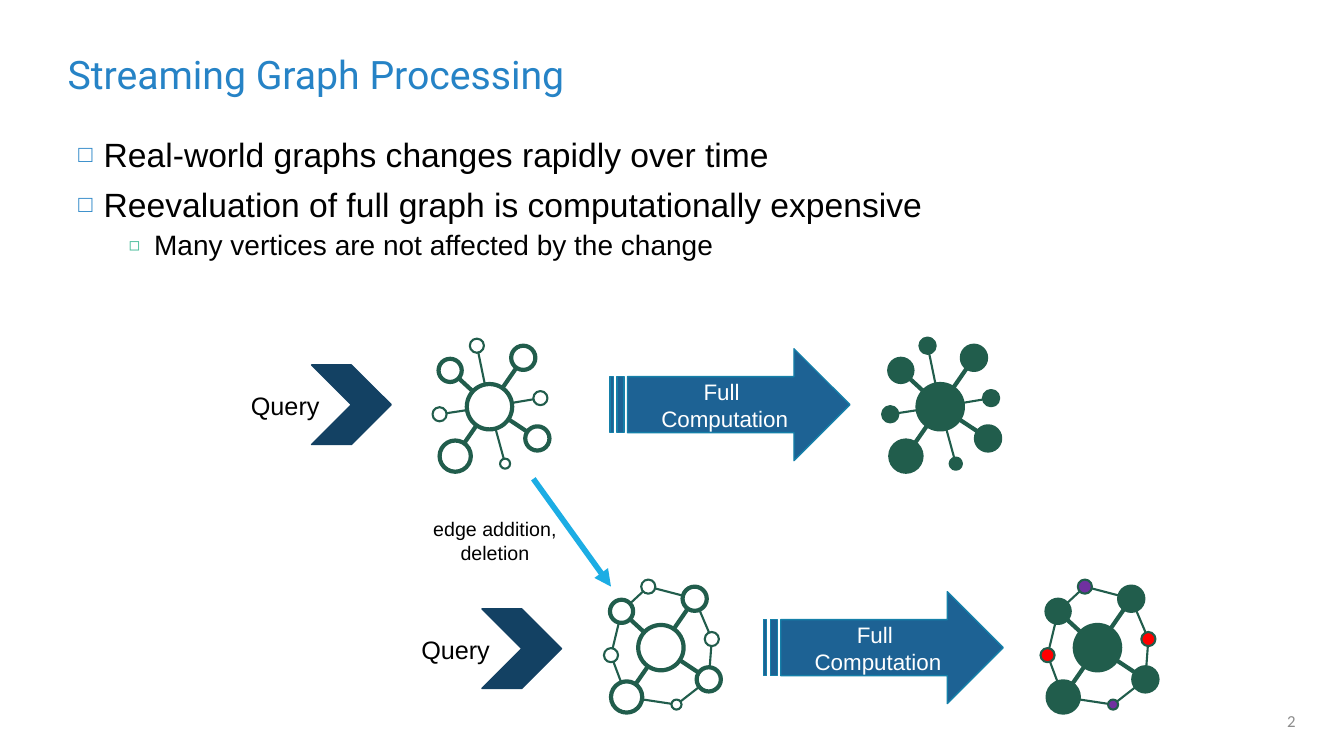
from lxml.etree import SubElement
from pptx import Presentation
from pptx.dml.color import RGBColor
from pptx.enum.shapes import MSO_CONNECTOR, MSO_SHAPE
from pptx.enum.text import MSO_ANCHOR, MSO_AUTO_SIZE, PP_ALIGN
from pptx.oxml.ns import qn
from pptx.util import Inches, Pt

COLORS = {
    "white": "FFFFFF", "black": "000000", "title": "2683C6", "sub_bullet": "42BA97",
    "graph": "215D4C", "added": "7030A0", "changed": "FF0000", "arrow": "1D6294",
    "arrow_edge": "1580A9", "query": "134163", "update": "1CADE4", "number": "8C8C8C",
}

# vertex: centre x, centre y, diameter
VERTICES = {
    "hub": (0.565, 0.675, 0.45),
    "lower right": (1.04, 0.99, 0.24),
    "top": (0.44, 0.07, 0.14),
    "upper left": (0.175, 0.315, 0.23),
    "upper right": (0.9, 0.19, 0.24),
    "lower left": (0.225, 1.165, 0.31),
    "left": (0.07, 0.75, 0.14),
    "right": (1.07, 0.59, 0.14),
    "bottom": (0.72, 1.24, 0.1),
}
STAR = [("hub", name) for name in VERTICES if name != "hub"]
RING = ["lower left", "left", "upper left", "top", "upper right",
        "right", "lower right", "bottom"]
WHEEL = list(zip(RING, RING[1:] + RING[:1])) + [
    ("hub", name) for name in ("upper left", "upper right", "lower left", "lower right")]


def color(name):
    return RGBColor.from_string(COLORS[name])


def is_large(vertex):
    return VERTICES[vertex][2] > 0.2


class SlideBuilder:
    def __init__(self, slide, font="Arial"):
        self.slide = slide
        self.font = font

    def style(self, paragraph, size, ink, font=None):
        paragraph.font.name = font or self.font
        paragraph.font.size = Pt(size)
        paragraph.font.color.rgb = color(ink)

    def set_lines(self, frame, lines, size, ink, align=PP_ALIGN.LEFT, font=None):
        for index, line in enumerate(lines):
            paragraph = frame.add_paragraph() if index else frame.paragraphs[0]
            paragraph.text = line
            paragraph.alignment = align
            self.style(paragraph, size, ink, font)

    def title(self, text, left, top, width, height):
        heading = self.slide.shapes.title
        heading.left, heading.top = Inches(left), Inches(top)
        heading.width, heading.height = Inches(width), Inches(height)
        frame = heading.text_frame
        frame.auto_size = MSO_AUTO_SIZE.NONE
        frame.vertical_anchor = MSO_ANCHOR.MIDDLE
        self.set_lines(frame, [text], 28, "title", font="Roboto")
        frame.paragraphs[0].line_spacing = 0.9

    def text(self, lines, left, top, width, height, size, ink="black",
             align=PP_ALIGN.LEFT, wrap=False, font=None, parent=None):
        box = (parent or self.slide).shapes.add_textbox(
            Inches(left), Inches(top), Inches(width), Inches(height))
        frame = box.text_frame
        frame.word_wrap = wrap
        frame.auto_size = MSO_AUTO_SIZE.NONE if wrap else MSO_AUTO_SIZE.SHAPE_TO_FIT_TEXT
        self.set_lines(frame, lines, size, ink, align, font)
        return frame

    def bullets(self, items, left, top, width, height):
        """Set (text, level) pairs as a list with square bullets."""
        frame = self.text([text for text, _ in items], left, top, width, height, 24, wrap=True)
        looks = [(24, 10, 0.25, "title", 70, "□"), (20, 5, 0.75, "sub_bullet", 65, "◻")]
        for paragraph, (_, level) in zip(frame.paragraphs, items):
            size, before, margin, ink, percent, mark = looks[level]
            paragraph.level = level
            paragraph.line_spacing = 0.9
            paragraph.space_before = Pt(before)
            self.style(paragraph, size, "black")
            properties = paragraph._p.get_or_add_pPr()
            properties.set("marL", str(Inches(margin)))
            properties.set("indent", str(Inches(-0.25)))
            bullet_color = SubElement(properties, qn("a:buClr"))
            SubElement(bullet_color, qn("a:srgbClr"), val=COLORS[ink])
            SubElement(properties, qn("a:buSzPct"), val=str(percent * 1000))
            SubElement(properties, qn("a:buFont"), typeface=self.font)
            SubElement(properties, qn("a:buChar"), char=mark)
            # the schema wants the default run properties after the bullet
            properties.append(properties.find(qn("a:defRPr")))

    def shape(self, kind, left, top, width, height, fill, edge, edge_width=1, parent=None):
        figure = (parent or self.slide).shapes.add_shape(
            kind, Inches(left), Inches(top), Inches(width), Inches(height))
        figure.shadow.inherit = False
        figure.fill.solid()
        figure.fill.fore_color.rgb = color(fill)
        figure.line.color.rgb = color(edge)
        figure.line.width = Pt(edge_width)
        return figure

    def line(self, start, end, ink, width, head=False, parent=None):
        connector = (parent or self.slide).shapes.add_connector(
            MSO_CONNECTOR.STRAIGHT, *(Inches(value) for value in (*start, *end)))
        connector.line.color.rgb = color(ink)
        connector.line.width = Pt(width)
        properties = connector._element.spPr
        if head:
            SubElement(properties.find(qn("a:ln")), qn("a:tailEnd"), type="triangle")
        SubElement(properties, qn("a:effectLst"))

    def graph(self, left, top, edges, fill, special=None, small_edge=1.5):
        """Draw edges, then vertices; special maps a vertex to its own fill."""
        group = self.slide.shapes.add_group_shape()
        for ends in edges:
            start, end = ((left + VERTICES[name][0], top + VERTICES[name][1]) for name in ends)
            width = 3 if all(map(is_large, ends)) else 1.5
            self.line(start, end, "graph", width, parent=group)
        for name, (x, y, size) in VERTICES.items():
            self.shape(MSO_SHAPE.OVAL, left + x - size / 2, top + y - size / 2, size, size,
                       (special or {}).get(name, fill), "graph",
                       3 if is_large(name) else small_edge, parent=group)

    def query(self, left, top):
        group = self.slide.shapes.add_group_shape()
        self.shape(MSO_SHAPE.CHEVRON, left + 0.7, top, 0.79, 0.79, "query", "query",
                   parent=group)
        self.text(["Query"], left, top + 0.2, 0.88, 0.4, 18, parent=group)

    def computation(self, left, top):
        arrow = self.shape(MSO_SHAPE.STRIPED_RIGHT_ARROW, left, top, 2.38, 1.11,
                           "arrow", "arrow_edge")
        arrow.text_frame.vertical_anchor = MSO_ANCHOR.MIDDLE
        self.set_lines(arrow.text_frame, ["Full ", "Computation"], 16, "white",
                       PP_ALIGN.CENTER)


def main():
    deck = Presentation()
    deck.slide_width, deck.slide_height = Inches(13.33), Inches(7.5)
    builder = SlideBuilder(deck.slides.add_slide(deck.slide_layouts[5]))

    builder.title("Streaming Graph Processing", 0.57, 0.44, 12.14, 0.64)
    builder.bullets([
        ("Real-world graphs changes rapidly over time", 0),
        ("Reevaluation of full graph is computationally expensive", 0),
        ("Many vertices are not affected by the change", 1),
    ], 0.68, 1.32, 11.59, 2.3)

    builder.graph(4.29, 3.36, STAR, "white")
    builder.graph(8.76, 3.36, STAR, "graph", small_edge=3)
    builder.graph(5.99, 5.75, WHEEL, "white")
    builder.graph(10.32, 5.75, WHEEL, "graph", special={
        "top": "added", "bottom": "added", "left": "changed", "right": "changed"})

    for query_at, computation_at in [((2.39, 3.62), (6.05, 3.46)),
                                     ((4.08, 6.04), (7.57, 5.87))]:
        builder.computation(*computation_at)
        builder.query(*query_at)

    builder.line((5.29, 4.75), (6.06, 5.82), "update", 4, head=True)
    builder.text(["edge addition,", "deletion"], 4.18, 5.08, 1.46, 0.57, 14,
                 align=PP_ALIGN.CENTER)
    number = builder.text(["2"], 9.95, 6.95, 3, 0.4, 12, "number", PP_ALIGN.RIGHT,
                          wrap=True, font="Calibri")
    number.vertical_anchor = MSO_ANCHOR.MIDDLE
    deck.save("out.pptx")


if __name__ == "__main__":
    main()
